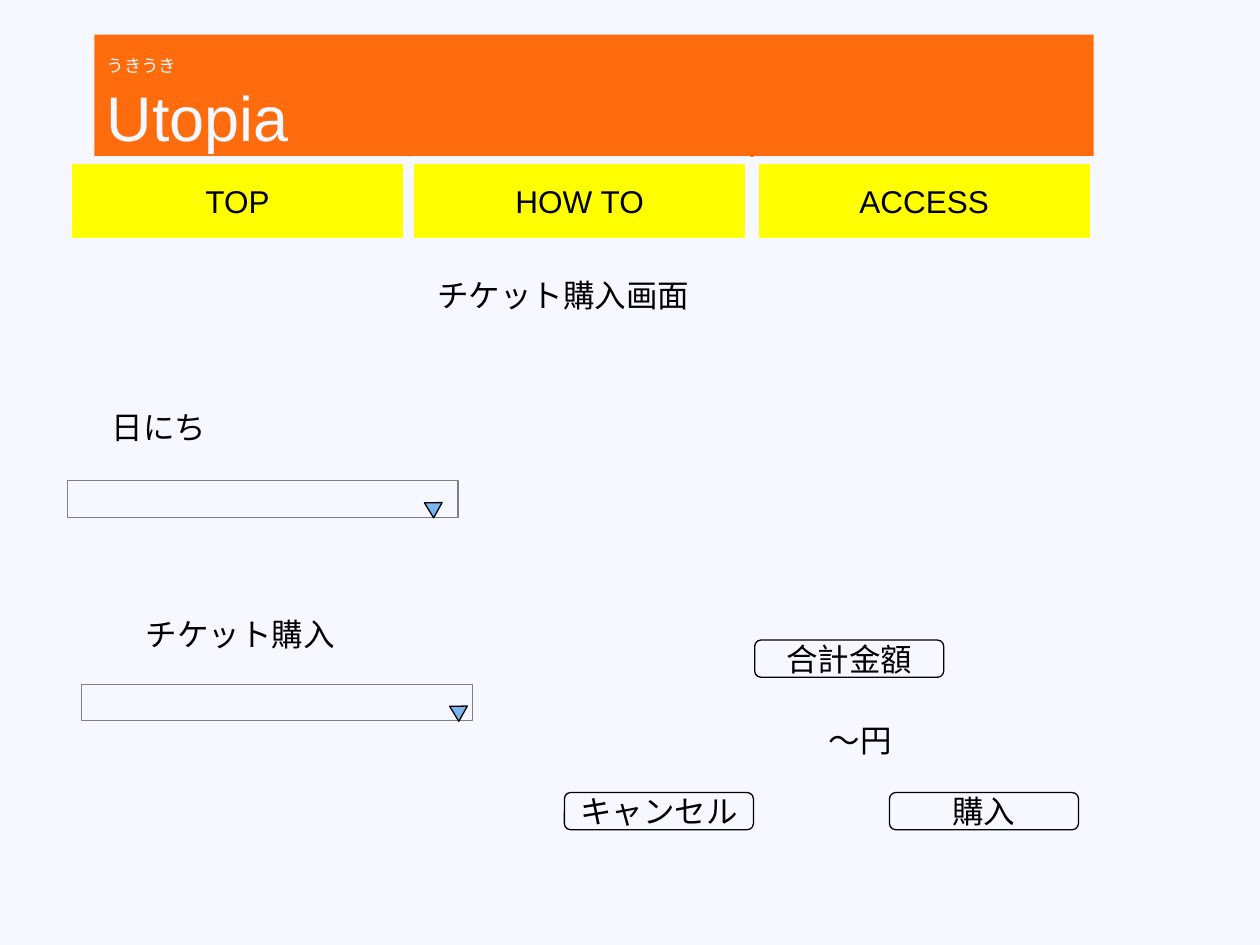
"""Build the ticket purchase screen mock-up of the Utopia site."""
import pptx
import pptx.dml.color
import pptx.enum.shapes
import pptx.enum.text
import pptx.util

COLORS = {
    "paper": "F7F7FF",
    "banner": "FF6C0D",
    "menu": "FFFF00",
    "ink": "000000",
    "frame": "808080",
    "arrow": "7DB6EF",
}
SHAPES = pptx.enum.shapes.MSO_SHAPE
ALIGN = pptx.enum.text.PP_ALIGN
ANCHOR = pptx.enum.text.MSO_ANCHOR


def rgb(name):
    return pptx.dml.color.RGBColor.from_string(COLORS[name])


def write(paragraph, text, size=18, color="ink", align=ALIGN.LEFT, font="Arial"):
    paragraph.alignment = align
    run = paragraph.add_run()
    run.text = text
    run.font.size = pptx.util.Pt(size)
    run.font.name = font
    run.font.color.rgb = rgb(color)


class Screen:
    COLUMNS, ROWS = 100, 75

    def __init__(self, deck):
        self.cell_width = deck.slide_width / self.COLUMNS
        self.cell_height = deck.slide_height / self.ROWS
        self.slide = deck.slides.add_slide(deck.slide_layouts[6])
        self.slide.background.fill.solid()
        self.slide.background.fill.fore_color.rgb = rgb("paper")

    def place(self, column, row, columns, rows):
        return (round(column * self.cell_width), round(row * self.cell_height),
                round(columns * self.cell_width), round(rows * self.cell_height))

    def panel(self, kind, area, fill="paper", line=None, weight=0.75):
        shape = self.slide.shapes.add_shape(kind, *self.place(*area))
        shape.shadow.inherit = False
        shape.fill.solid()
        shape.fill.fore_color.rgb = rgb(fill)
        if line:
            shape.line.color.rgb = rgb(line)
            shape.line.width = pptx.util.Pt(weight)
        else:
            shape.line.fill.background()
        return shape

    def banner(self, area, tagline, title):
        frame = self.panel(SHAPES.RECTANGLE, area, "banner").text_frame
        frame.word_wrap = True
        frame.vertical_anchor = ANCHOR.MIDDLE
        write(frame.paragraphs[0], tagline, size=10, color="paper")
        write(frame.paragraphs[0], "　", color="paper")
        write(frame.add_paragraph(), title, size=36, color="paper")

    def button(self, area, caption, kind=SHAPES.ROUNDED_RECTANGLE, **style):
        frame = self.panel(kind, area, **style).text_frame
        frame.word_wrap = False
        frame.vertical_anchor = ANCHOR.MIDDLE
        write(frame.paragraphs[0], caption, align=ALIGN.CENTER)

    def label(self, area, text, anchor=ANCHOR.TOP):
        frame = self.slide.shapes.add_textbox(*self.place(*area)).text_frame
        frame.word_wrap = True
        frame.vertical_anchor = anchor
        write(frame.paragraphs[0], text)

    def dropdown(self, column, row, arrow_column):
        self.panel(SHAPES.RECTANGLE, (column, row, 31, 2.9), line="frame")
        arrow = self.panel(SHAPES.ISOSCELES_TRIANGLE,
                           (arrow_column, row + 1.75, 1.4, 1.2), "arrow", "ink")
        arrow.rotation = 179


def main():
    deck = pptx.Presentation()
    deck.slide_width = pptx.util.Inches(10)
    deck.slide_height = pptx.util.Inches(7.5)
    screen = Screen(deck)

    screen.banner((7.5, 2.75, 79.3, 10), "うきうき", "Utopia")
    for column, page in ((5.4, "TOP"), (32.55, "HOW TO"), (59.9, "ACCESS")):
        screen.button((column, 12.7, 26.9, 6.5), page, SHAPES.RECTANGLE,
                      fill="menu", line="paper", weight=4.5)

    screen.label((33.7, 21.4, 25.8, 4), "チケット購入画面")
    screen.label((7.9, 31.9, 25.7, 4), "日にち")
    screen.dropdown(5.35, 38.15, 33.7)
    screen.label((10.6, 48.3, 25.8, 4), "チケット購入")
    screen.dropdown(6.5, 54.3, 35.7)

    screen.label((64.8, 53.7, 20.8, 7), "～円", anchor=ANCHOR.BOTTOM)
    for column, row, caption in ((59.9, 50.8, "合計金額"),
                                 (44.8, 62.9, "キャンセル"),
                                 (70.6, 62.9, "購入")):
        screen.button((column, row, 15, 2.95), caption, line="ink")

    deck.save("out.pptx")


if __name__ == "__main__":
    main()
